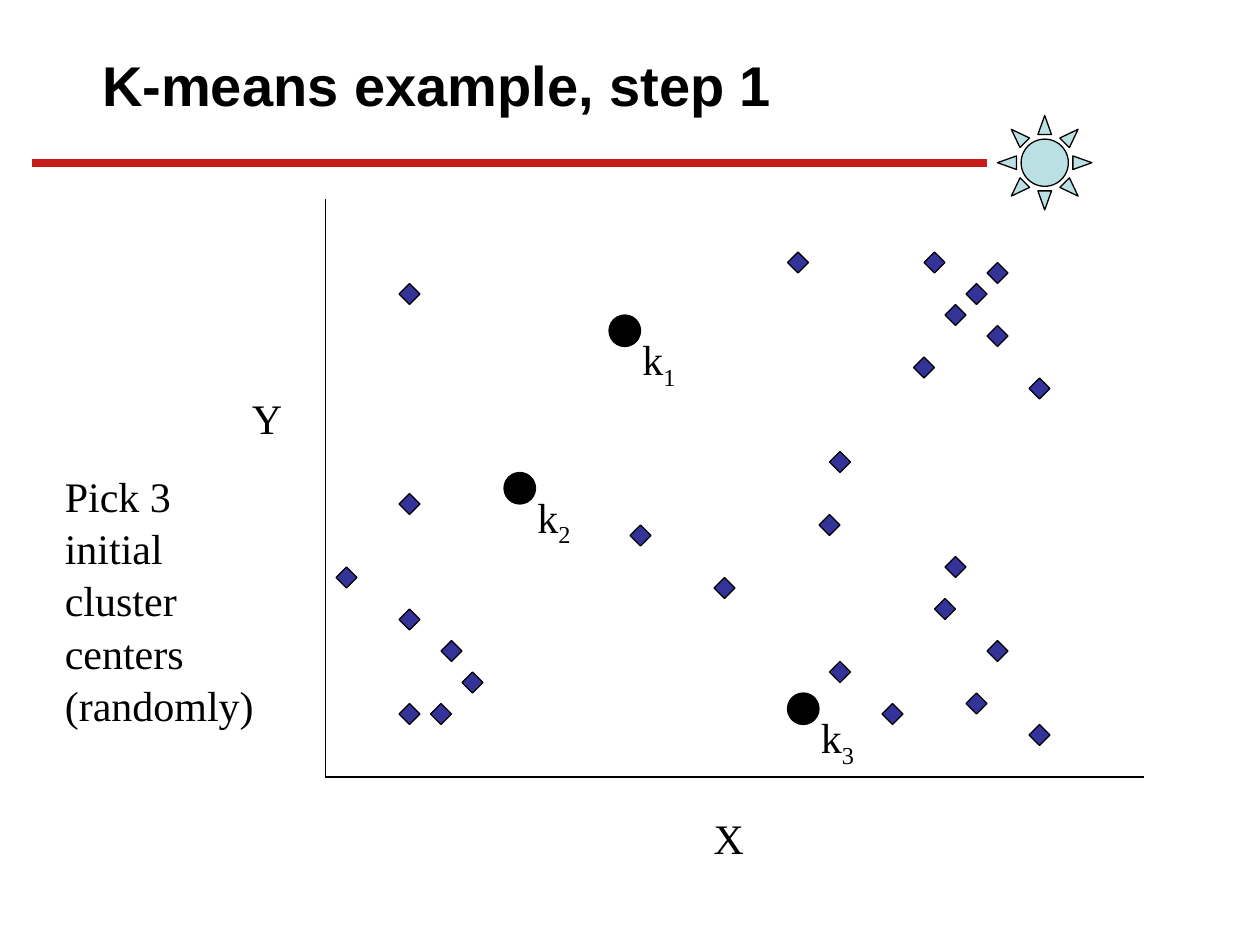
from lxml.etree import SubElement
from pptx import Presentation
from pptx.dml.color import RGBColor
from pptx.enum.shapes import MSO_CONNECTOR, MSO_SHAPE
from pptx.enum.text import MSO_ANCHOR
from pptx.oxml.ns import qn
from pptx.util import Inches, Pt

BLACK = RGBColor(0x00, 0x00, 0x00)
NAVY = RGBColor(0x33, 0x33, 0x99)
RED = RGBColor(0xC7, 0x1D, 0x19)
PALE_BLUE = RGBColor(0xBB, 0xE0, 0xE3)

presentation = Presentation()
presentation.slide_width = Inches(10)
presentation.slide_height = Inches(7.5)
slide = presentation.slides.add_slide(presentation.slide_layouts[6])
shapes = slide.shapes

UNIT = Inches(1) / 12  # all lengths below are counted on a grid of twelfths


def add_marker(preset, column, row, size, color):
    shape = shapes.add_shape(
        preset, *(round(n * UNIT) for n in (column, row, size, size)))
    shape.shadow.inherit = False
    shape.fill.solid()
    shape.fill.fore_color.rgb = color
    shape.line.color.rgb = BLACK
    shape.line.width = Pt(0.75)
    return shape


def add_text(lines, column, row, width, height, size=24, font="Times New Roman"):
    """Add a text box with one paragraph per line; return its text frame."""
    box = shapes.add_textbox(
        *(round(n * UNIT) for n in (column, row, width, height)))
    frame = box.text_frame
    frame.word_wrap = True
    for index, line in enumerate(lines):
        paragraph = frame.paragraphs[0] if index == 0 else frame.add_paragraph()
        paragraph.line_spacing = 1.04
        for position, text in enumerate(line):
            run = paragraph.add_run()
            run.text = text
            run.font.size = Pt(size)
            run.font.name = font
            run.font.color.rgb = BLACK
            if position == 1:
                run.font._element.set("baseline", "-25000")  # subscript
    return frame


# Title
title = add_text([["K-means example, step 1"]], 9, 3.6, 68, 8.8, 32, "Arial")
title.vertical_anchor = MSO_ANCHOR.MIDDLE
title.margin_left = Inches(0.06)
title.paragraphs[0].line_spacing = 1
title.paragraphs[0].runs[0].font.bold = True

# Data points: column and row of the upper left corner
data_points = [
    (42, 61), (44, 64), (41, 67), (38, 58), (38, 27), (38, 47), (38, 67),
    (32, 54), (60, 50), (88, 24), (94, 25), (92, 27), (90, 29), (94, 31),
    (98, 36), (75, 24), (79, 43), (79, 63), (84, 67), (89, 57), (78, 49),
    (68, 55), (94, 61), (92, 66), (90, 53), (98, 69), (87, 34),
]
for column, row in data_points:
    add_marker(MSO_SHAPE.DIAMOND, column, row, 2, NAVY)

# Initial cluster centers, each with its label below and to the right
for number, (column, row) in enumerate([(58, 30), (48, 45), (75, 66)], 1):
    add_marker(MSO_SHAPE.OVAL, column, row, 3, BLACK)
    label = add_text([["k", str(number)]], column + 2, row + 1, 7, 6.7)
    label.paragraphs[0].space_before = Pt(15)

# Axes and title rule
lines = [
    (31, 19, 31, 74, BLACK, 0.75),
    (31, 74, 109, 74, BLACK, 0.75),
    (3, 15.5, 94, 15.5, RED, 4.5),
]
for *ends, color, weight in lines:
    line = shapes.add_connector(
        MSO_CONNECTOR.STRAIGHT, *(round(n * UNIT) for n in ends))
    line.line.color.rgb = color
    line.line.width = Pt(weight)
    SubElement(line._element.spPr, qn("a:effectLst"))

# Axis names and explanation
add_text([["X"]], 66.8, 76.6, 5.3, 6).word_wrap = False
add_text([["Y"]], 22.8, 36.6, 5.3, 6).word_wrap = False
explanation = ["Pick 3", "initial", "cluster", "centers", "(randomly)"]
add_text([[line] for line in explanation], 5, 44, 20.4, 30).word_wrap = False

sun = add_marker(MSO_SHAPE.SUN, 95, 11, 9, PALE_BLUE)
sun.adjustments[0] = 0.25

presentation.save("out.pptx")
